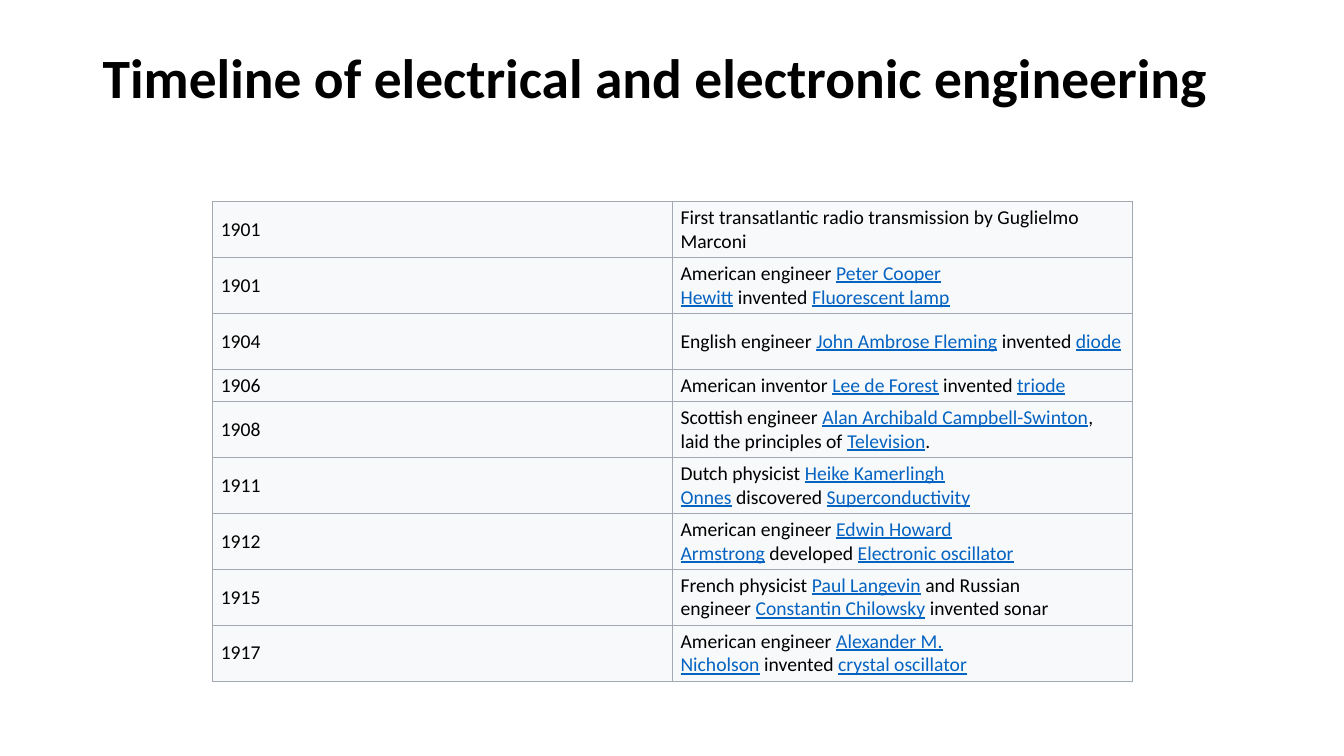
from lxml.etree import SubElement
from pptx import Presentation
from pptx.dml.color import RGBColor
from pptx.enum.text import MSO_ANCHOR as Anchor
from pptx.oxml.ns import qn
from pptx.util import Inches, Pt

FONT = "Calibri"
BLACK = RGBColor(0x00, 0x00, 0x00)
LINK_BLUE = RGBColor(0x05, 0x63, 0xC1)
CELL_FILL = RGBColor(0xF8, 0xF9, 0xFA)
BORDER_GREY = RGBColor(0xA2, 0xA9, 0xB1)
NO_BREAK_SPACE = chr(160)

TITLE = "Timeline of electrical and electronic engineering"
TABLE_HEIGHT = 4.76
SHORT_ROW_HEIGHT = 0.32
SHORT_ROW_YEAR = "1906"

# Square brackets mark the underlined terms.
EVENTS = [
    ("1901", "First transatlantic radio transmission by Guglielmo Marconi"),
    ("1901", "American engineer [Peter Cooper Hewitt] invented [Fluorescent lamp]"),
    ("1904", "English engineer [John Ambrose Fleming] invented [diode]"),
    ("1906", "American inventor [Lee de Forest] invented [triode]"),
    ("1908", "Scottish engineer [Alan Archibald Campbell-Swinton], "
             "laid the principles of [Television]."),
    ("1911", "Dutch physicist [Heike Kamerlingh Onnes] discovered [Superconductivity]"),
    ("1912", "American engineer [Edwin Howard Armstrong] developed [Electronic oscillator]"),
    ("1915", "French physicist [Paul Langevin] and Russian engineer "
             "[Constantin Chilowsky] invented sonar"),
    ("1917", "American engineer [Alexander M. Nicholson] invented [crystal oscillator]"),
]


def add_span(para, text, size, color=BLACK, bold=False, underline=False):
    span = para.add_run()
    span.text = text
    font = span.font
    font.name, font.size, font.bold = FONT, Pt(size), bold
    font.underline = underline
    font.color.rgb = color


def add_title(page):
    box = page.shapes.add_textbox(Inches(0.92), Inches(0.4), Inches(11.5), Inches(1.45))
    frame = box.text_frame
    frame.word_wrap = True
    frame.vertical_anchor = Anchor.TOP
    frame.margin_top = Inches(0.1)
    para = frame.paragraphs[0]
    para.line_spacing = 0.9
    add_span(para, TITLE, 39.6, bold=True)


def set_borders(cell):
    """Draw all four edges; they must come before the fill in the cell XML."""
    properties = cell._tc.get_or_add_tcPr()
    for side in ("lnL", "lnR", "lnT", "lnB"):
        line = SubElement(properties, qn(f"a:{side}"), w=str(Pt(0.75)))
        fill = SubElement(line, qn("a:solidFill"))
        SubElement(fill, qn("a:srgbClr"), val=str(BORDER_GREY))


def fill_cell(cell, text):
    """Write text, with its bracketed terms blue and underlined."""
    set_borders(cell)
    cell.fill.solid()
    cell.fill.fore_color.rgb = CELL_FILL
    cell.vertical_anchor = Anchor.MIDDLE
    cell.margin_left = cell.margin_right = Inches(0.08)
    cell.margin_top = cell.margin_bottom = Inches(0.04)
    para = cell.text_frame.paragraphs[0]
    joined = text.replace(" [", NO_BREAK_SPACE + "[").replace("] ", "]" + NO_BREAK_SPACE)
    for index, part in enumerate(joined.replace("]", "[").split("[")):
        is_term = index % 2 == 1
        if part:
            add_span(para, part, 14, LINK_BLUE if is_term else BLACK, underline=is_term)


def add_timeline(page):
    table = page.shapes.add_table(
        len(EVENTS), 2, Inches(2.11), Inches(2), Inches(9.12), Inches(TABLE_HEIGHT)
    ).table
    table.first_row = table.horz_banding = False
    tall_row_height = (TABLE_HEIGHT - SHORT_ROW_HEIGHT) / (len(EVENTS) - 1)
    for row, event in zip(table.rows, EVENTS):
        is_short = event[0] == SHORT_ROW_YEAR
        row.height = Inches(SHORT_ROW_HEIGHT if is_short else tall_row_height)
        for cell, text in zip(row.cells, event):
            fill_cell(cell, text)


def main():
    deck = Presentation()
    deck.slide_width, deck.slide_height = Inches(13.33), Inches(7.5)
    page = deck.slides.add_slide(deck.slide_layouts[6])
    add_title(page)
    add_timeline(page)
    deck.save("out.pptx")


if __name__ == "__main__":
    main()
